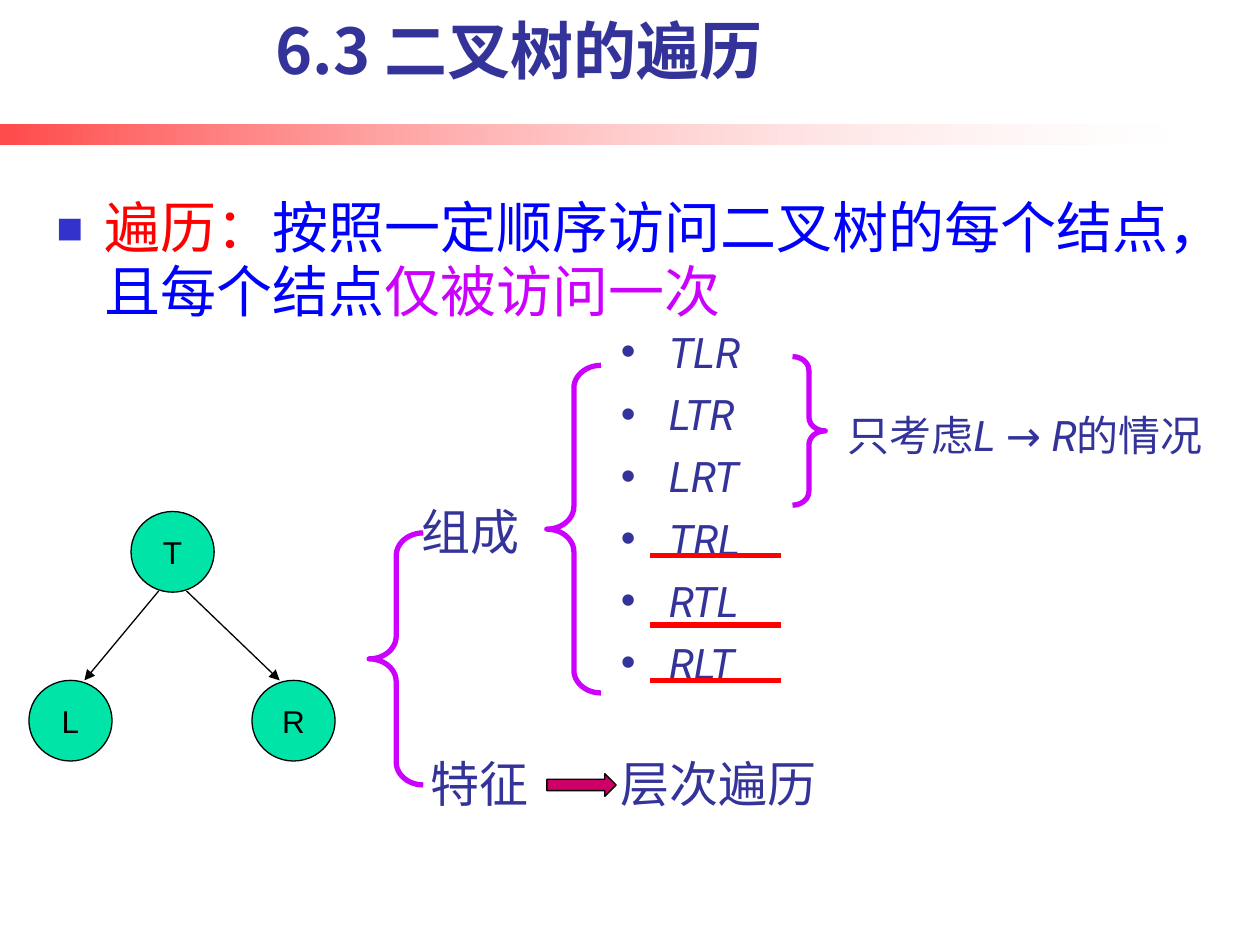
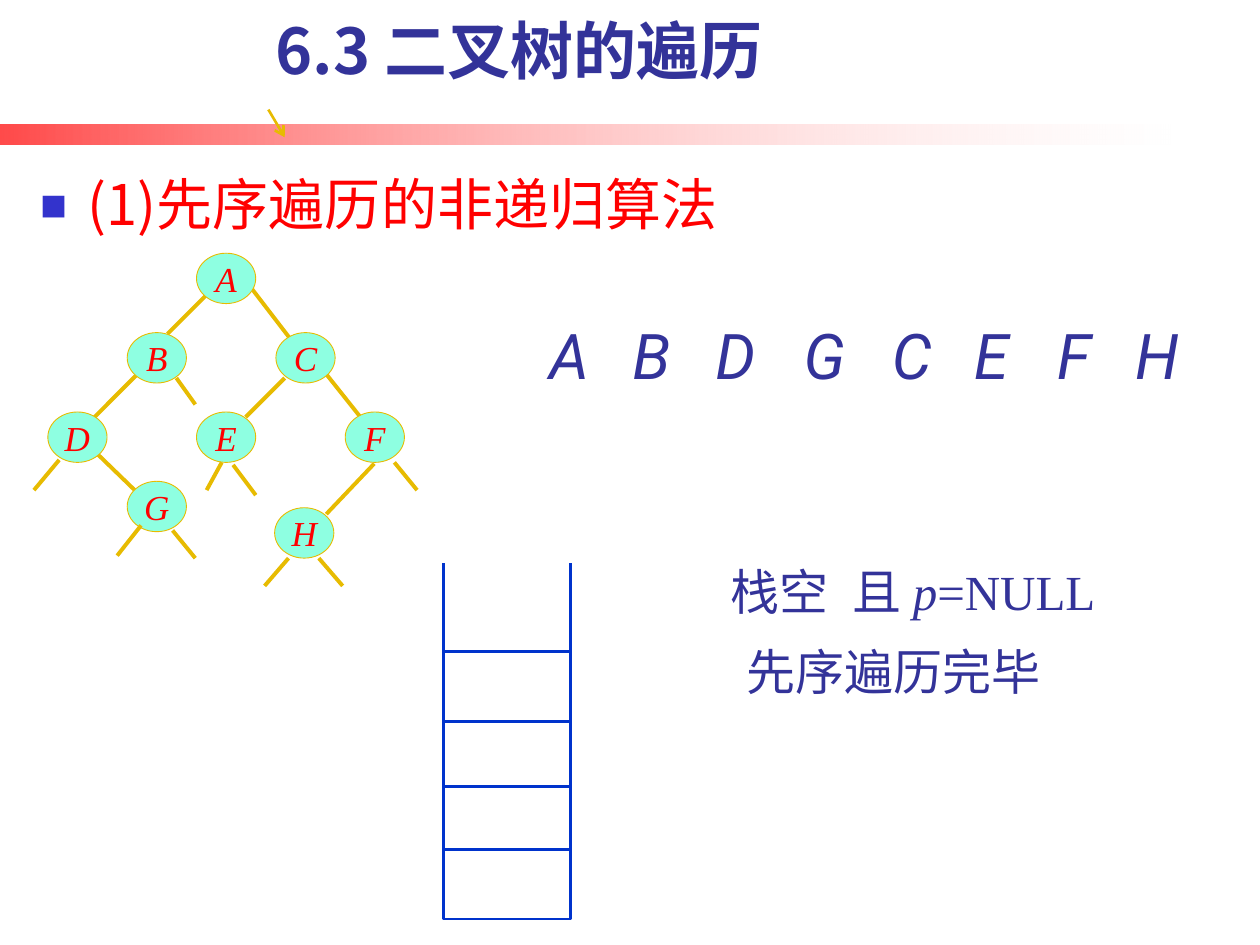
from dataclasses import dataclass, replace
from typing import Optional

from lxml import etree
from pptx import Presentation
from pptx import util as u
from pptx.dml.color import RGBColor
from pptx.enum import shapes, text
from pptx.oxml.ns import qn


@dataclass(frozen=True)
class Theme:
    """Colours, fonts and type sizes of the deck."""
    navy: str = "333399"
    red: str = "FF0000"
    blue: str = "0000FF"
    violet: str = "CC00FF"
    bullet: str = "3333CC"
    white: str = "FFFFFF"
    black: str = "000000"
    green: str = "00E4A8"
    mint: str = "8EFFE1"
    gold: str = "E7BB01"
    stack: str = "0033CC"
    magenta: str = "CC0066"
    cjk: str = "Noto Sans CJK SC"
    roman: str = "Roboto"
    serif: str = "Times New Roman"
    sans: str = "Arial"
    display: int = 36
    lead: int = 32
    label: int = 28
    small: int = 24
    node: int = 20
    tag: int = 18


@dataclass(frozen=True)
class Area:
    """A rectangle in grid columns and rows."""
    left: float
    top: float
    width: float
    height: float


@dataclass(frozen=True)
class Span:
    """A run of text with what differs from its style."""
    text: str
    color: Optional[str] = None
    font: Optional[str] = None
    italic: Optional[bool] = None


@dataclass(frozen=True)
class Bullet:
    """A bullet mark with its hanging indent in columns."""
    mark: str
    hang: float
    color: str
    percent: int = 100


@dataclass(frozen=True)
class Style:
    """How the paragraphs of a box are set."""
    size: int
    font: str
    color: str
    bold: bool = False
    italic: bool = False
    align: text.PP_ALIGN = text.PP_ALIGN.LEFT
    anchor: text.MSO_ANCHOR = text.MSO_ANCHOR.TOP
    wrap: bool = True
    line_spacing: float = 1.0
    gap: float = 0
    bullet: Optional[Bullet] = None


@dataclass(frozen=True)
class Pen:
    """Line colour and width in points."""
    color: str
    width: float


THEME = Theme()
COLUMNS, ROWS = 100, 75
CELL = u.Inches(10) // COLUMNS
SQUARE = Bullet("■", 3.8, THEME.bullet, 80)
DOT = Bullet("•", 3.8, THEME.navy)
CENTER, MIDDLE, BOTTOM = text.PP_ALIGN.CENTER, text.MSO_ANCHOR.MIDDLE, text.MSO_ANCHOR.BOTTOM
TITLE = Style(THEME.display, THEME.cjk, THEME.navy, bold=True, align=CENTER, anchor=BOTTOM)
LEAD = Style(THEME.lead, THEME.cjk, THEME.red, anchor=BOTTOM, line_spacing=0.95, bullet=SQUARE)
LABEL = Style(THEME.label, THEME.cjk, THEME.navy)
ORDERS = Style(THEME.small, THEME.roman, THEME.navy, italic=True, line_spacing=0.8, gap=12.5, bullet=DOT)
NOTE = Style(THEME.small, THEME.roman, THEME.navy)
VISIT = Style(THEME.display, THEME.roman, THEME.navy, italic=True, wrap=False)
TAG = Style(THEME.tag, THEME.sans, THEME.black, align=CENTER, anchor=MIDDLE, wrap=False)
NODE = Style(THEME.node, THEME.serif, THEME.red, italic=True, align=CENTER, anchor=MIDDLE, wrap=False)
OUTLINE = Pen(THEME.black, 0.75)
BRACE = Pen(THEME.violet, 3)
STRIKE = Pen(THEME.red, 3)
BRANCH = Pen(THEME.gold, 2.25)
STACK = Pen(THEME.stack, 1.5)


def cells(*values: float) -> list[u.Emu]:
    """Turn grid units into lengths."""
    return [u.Emu(round(value * CELL)) for value in values]


def place(area: Area) -> list[u.Emu]:
    """Give the position and size of an area."""
    return cells(area.left, area.top, area.width, area.height)


def set_font(font, style: Style) -> None:
    """Apply a style to a paragraph or run font."""
    font.name, font.size = style.font, u.Pt(style.size)
    font.bold, font.italic = style.bold, style.italic
    font.color.rgb = RGBColor.from_string(style.color)


def set_bullet(para, bullet: Bullet) -> None:
    """Give a paragraph a bullet and a hanging indent."""
    props = para._p.get_or_add_pPr()
    hang = cells(bullet.hang)[0]
    props.set("marL", str(hang))
    props.set("indent", str(-hang))
    color = etree.SubElement(props, qn("a:buClr"))
    etree.SubElement(color, qn("a:srgbClr"), val=bullet.color)
    etree.SubElement(props, qn("a:buSzPct"), val=str(bullet.percent * 1000))
    etree.SubElement(props, qn("a:buFont"), typeface=THEME.sans)
    etree.SubElement(props, qn("a:buChar"), char=bullet.mark)


def write(frame, lines: list[list[Span]], style: Style) -> None:
    """Fill a text frame with styled paragraphs."""
    frame.word_wrap = style.wrap
    frame.vertical_anchor = style.anchor
    for index, spans in enumerate(lines):
        para = frame.add_paragraph() if index else frame.paragraphs[0]
        para.alignment, para.line_spacing = style.align, style.line_spacing
        para.space_before = u.Pt(style.gap if index else 0)
        if style.bullet:
            set_bullet(para, style.bullet)
        set_font(para.font, style)
        for item in spans:
            span = para.add_run()
            span.text = item.text
            own = replace(style, color=item.color or style.color, font=item.font or style.font,
                          italic=style.italic if item.italic is None else item.italic)
            set_font(span.font, own)
            etree.SubElement(span._r.get_or_add_rPr(), qn("a:ea"), typeface=THEME.cjk)


def add_text(page, area: Area, style: Style, *lines: list[Span]) -> None:
    """Add a text box."""
    write(page.shapes.add_textbox(*place(area)).text_frame, list(lines), style)


def add_shape(page, kind: shapes.MSO_SHAPE, area: Area, pen: Optional[Pen] = None,
              fill: Optional[str] = None, adjust: tuple[float, ...] = ()):
    """Add a preset shape without shadow."""
    shape = page.shapes.add_shape(kind, *place(area))
    shape.shadow.inherit = False
    for index, value in enumerate(adjust):
        shape.adjustments[index] = value
    if fill:
        shape.fill.solid()
        shape.fill.fore_color.rgb = RGBColor.from_string(fill)
    else:
        shape.fill.background()
    if pen:
        shape.line.color.rgb = RGBColor.from_string(pen.color)
        shape.line.width = u.Pt(pen.width)
    else:
        shape.line.fill.background()
    return shape


def add_node(page, area: Area, name: str, style: Style, pen: Pen, fill: str) -> None:
    """Add a labelled tree node."""
    shape = add_shape(page, shapes.MSO_SHAPE.OVAL, area, pen, fill)
    write(shape.text_frame, [[Span(name)]], style)


def add_line(page, ends: tuple[float, float, float, float], pen: Pen, head: str = "") -> None:
    """Add a straight line, with an arrowhead at its end if named."""
    line = page.shapes.add_connector(shapes.MSO_CONNECTOR.STRAIGHT, *cells(*ends))
    line.line.color.rgb = RGBColor.from_string(pen.color)
    line.line.width = u.Pt(pen.width)
    if head:
        etree.SubElement(line.line._get_or_add_ln(), qn("a:tailEnd"), type=head)
    etree.SubElement(line._element.spPr, qn("a:effectLst"))


def add_page(deck):
    """Add a page with the fading band and the chapter title."""
    page = deck.slides.add_slide(deck.slide_layouts[6])
    band = add_shape(page, shapes.MSO_SHAPE.RECTANGLE, Area(0, 9.9, 92.9, 1.6))
    band.fill.gradient()
    band.fill.gradient_angle = 0
    for stop, color in zip(band.fill.gradient_stops, (THEME.red, THEME.white)):
        stop.color.rgb = RGBColor.from_string(color)
    for stop, opacity in zip(band._element.spPr.iter(qn("a:srgbClr")), (71, 18)):
        etree.SubElement(stop, qn("a:alpha"), val=str(opacity * 1000))
    add_text(page, Area(9.8, 0.3, 62.8, 7.1), TITLE, [Span("6.3 二叉树的遍历")])
    return page


def build_overview(deck) -> None:
    """Draw the definition and the kinds of traversal."""
    page = add_page(deck)
    add_text(page, Area(3.5, 14.5, 93.4, 11.8), LEAD, [
        Span("遍历："), Span("按照一定顺序访问二叉树的每个结点，且每个结点", THEME.blue),
        Span("仅被访问一次", THEME.violet)])
    for name, left, top in (("T", 10.4, 40.6), ("L", 2.3, 54), ("R", 20, 54)):
        add_node(page, Area(left, top, 6.6, 6.4), name, TAG, OUTLINE, THEME.green)
    for start, end in ((12.6, 6.7), (14.8, 22.2)):
        add_line(page, (start, 46.9, end, 54), OUTLINE, "triangle")
    orders = ("TLR", "LTR", "LRT", "TRL", "RTL", "RLT")
    add_text(page, Area(48.3, 26.2, 19.1, 30.5), ORDERS, *[[Span(order)] for order in orders])
    for row in (44.1, 49.6, 54):
        add_line(page, (51.6, row, 62, row), STRIKE)
    add_text(page, Area(66.3, 32, 35.4, 5.1), NOTE, [
        Span("只考虑"), Span("L ", italic=True), Span("→ "), Span("R", italic=True), Span("的情况")])
    left_brace, right_brace = shapes.MSO_SHAPE.LEFT_BRACE, shapes.MSO_SHAPE.RIGHT_BRACE
    for kind, area in ((right_brace, Area(62.9, 28.3, 2.6, 11.8)),
                       (left_brace, Area(29.3, 42.3, 4.3, 20)),
                       (left_brace, Area(43.4, 29, 4.3, 26))):
        add_shape(page, kind, area, BRACE, adjust=(0.42, 0.5))
    for label, left, top, width in (("组成", 32.5, 39.3, 10.9), ("特征", 33.2, 59.3, 10.9),
                                    ("层次遍历", 48.3, 59.3, 19.5)):
        add_text(page, Area(left, top, width, 5.7), LABEL, [Span(label)])
    add_shape(page, shapes.MSO_SHAPE.RIGHT_ARROW, Area(43.4, 61.4, 5.5, 1.8), OUTLINE,
              THEME.magenta, (0.5, 0.5))


def build_preorder(deck) -> None:
    """Draw the tree, the stack and the visiting order."""
    page = add_page(deck)
    add_line(page, (21.3, 8.7, 22.6, 10.9), Pen(THEME.gold, 1.5), "arrow")
    add_text(page, Area(2.2, 12.3, 59, 7.1), LEAD, [Span("(1)先序遍历的非递归算法")])
    for column in (35.2, 45.3):
        add_line(page, (column, 67.6, column, 44.7), STACK)
    for row in (67.4, 56.9, 51.7):
        add_shape(page, shapes.MSO_SHAPE.RECTANGLE, Area(35.2, row, 10.1, 5.55), STACK, THEME.white)
    edges = ((16.4, 23.4, 13.3, 26.5), (19.9, 22.8, 23.2, 27.1), (10.9, 29.7, 7, 33.6),
             (22.6, 30, 19.5, 33.1), (25.9, 29.7, 29, 33.6), (7.7, 36, 10.9, 39.1),
             (29.7, 36.8, 25.9, 40.8))
    empty_links = ((4.7, 36.5, 2.7, 38.9), (22.9, 44.3, 21, 46.5), (13.7, 42.1, 15.5, 44.3),
                   (18.5, 36.9, 20.3, 39.3), (17.6, 36.7, 16.4, 38.9), (14, 30, 15.5, 32.1),
                   (25.3, 44.3, 27.2, 46.5), (31.3, 36.7, 33.1, 38.9), (11.2, 41.7, 9.3, 44.1))
    nodes = (("A", 15.6, 20.1), ("B", 10.1, 26.4), ("C", 21.9, 26.4), ("D", 3.8, 32.7),
             ("E", 15.6, 32.7), ("F", 27.4, 32.7), ("G", 10.1, 38.2), ("H", 21.8, 40.3))
    for ends in edges:
        add_line(page, ends, BRANCH)
    for name, left, top in nodes:
        add_node(page, Area(left, top, 4.7, 4), name, NODE, Pen(THEME.gold, 0.5), THEME.mint)
    for ends in empty_links:
        add_line(page, ends, BRANCH)
    for name, left in zip("ABDGCEFH", (42.6, 49.2, 55.8, 62.8, 69.8, 76.3, 82.9, 89.1)):
        add_text(page, Area(left, 24.6, 5.2, 7.1), VISIT, [Span(name)])
    add_text(page, Area(57, 44.1, 35.5, 5.7), LABEL, [
        Span("栈空\u2002且 "), Span("p", font=THEME.serif, italic=True),
        Span("=NULL", font=THEME.serif)])
    add_text(page, Area(58.3, 50.4, 26.5, 5.7), LABEL, [Span("先序遍历完毕")])


def main() -> None:
    """Build and save the deck."""
    deck = Presentation()
    deck.slide_width, deck.slide_height = cells(COLUMNS, ROWS)
    build_overview(deck)
    build_preorder(deck)
    deck.save("out.pptx")


main()
